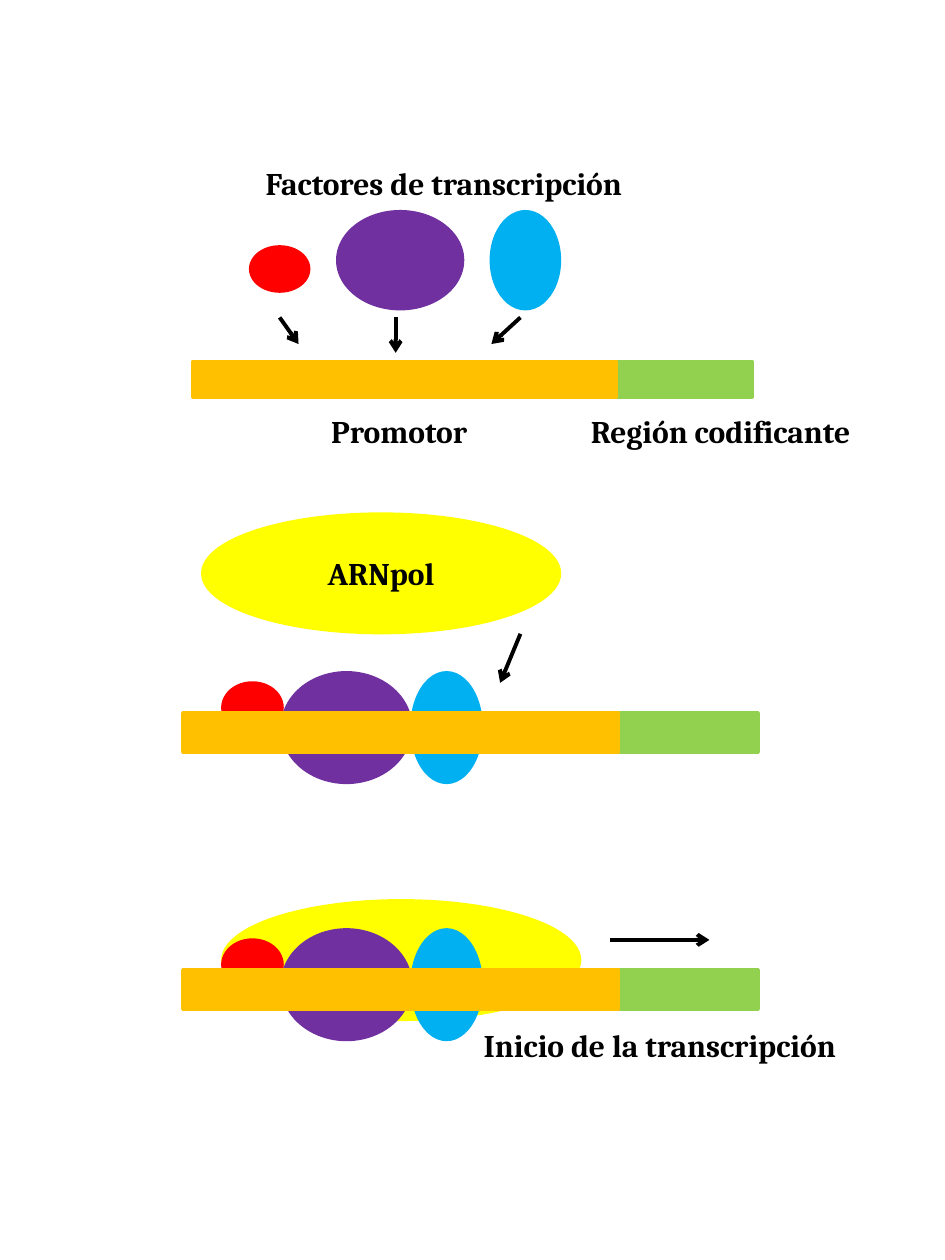
import pptx
import pptx.util
import pptx.dml.color
import pptx.enum.shapes
import pptx.enum.text
import lxml.etree

Pt = pptx.util.Pt
RGB = pptx.dml.color.RGBColor
KIND = pptx.enum.shapes.MSO_SHAPE
ALIGN = pptx.enum.text.PP_ALIGN

RED = RGB(0xFF, 0, 0)
PURPLE = RGB(0x70, 0x30, 0xA0)
BLUE = RGB(0, 0xB0, 0xF0)
GREEN = RGB(0x92, 0xD0, 0x50)
ORANGE = RGB(0xFF, 0xC0, 0)
YELLOW = RGB(0xFF, 0xFF, 0)
BLACK = RGB(0, 0, 0)

OVAL, BAR = KIND.OVAL, KIND.RECTANGLE

FREE = [
    (BAR, GREEN, 352.8, 206.6, 77, 20.2),
    (BAR, ORANGE, 110.2, 206.6, 241.9, 20.2),
    (OVAL, RED, 143.3, 141.1, 33.1, 25.2),
    (OVAL, PURPLE, 193, 121, 71.3, 55.4),
    (OVAL, BLUE, 280.8, 121, 38.9, 55.4),
]
BOUND = [
    (OVAL, RED, 127.4, 5.8, 33.8, 28.1),
    (OVAL, PURPLE, 161.3, 0, 73.4, 62.6),
    (OVAL, BLUE, 235.4, 0, 39.6, 62.6),
    (BAR, GREEN, 354.2, 23, 79.2, 22.3),
    (BAR, ORANGE, 104.4, 23, 249.1, 22.3),
]
STAGES = [
    (0, FREE),
    (384.5, BOUND),
    (531.4, BOUND),
]
POL = (203.8, 67.7)
LABELS = [
    ("Factores de transcripción", 144.7, 90, 221.8, 51.1),
    ("Promotor", 182.2, 231.8, 132.5, 51.1),
    ("Región codificante", 330.5, 231.8, 179.3, 28.8),
    ("Inicio de la transcripción", 269.3, 582.5, 241.2, 28.8),
]
ARROWS = [
    (297.4, 181.4, 280.8, 196.6),
    (226.1, 181.4, 226.1, 201.6),
    (159.8, 181.4, 170.6, 196.6),
    (297.4, 362.2, 285.8, 390.2),
    (348.5, 537.1, 405.4, 537.1),
]

deck = pptx.Presentation()
deck.slide_width, deck.slide_height = Pt(540), Pt(720)
slide = deck.slides.add_slide(deck.slide_layouts[6])
shapes = slide.shapes


def draw(kind, color, *box):
    shape = shapes.add_shape(kind, *map(Pt, box))
    shape.shadow.inherit = False
    shape.fill.solid()
    shape.fill.fore_color.rgb = color
    shape.line.color.rgb = color
    shape.line.width = Pt(2)
    return shape


def write(frame, text, align):
    frame.text = text
    par = frame.paragraphs[0]
    par.alignment = align
    font = par.runs[0].font
    font.name, font.size, font.bold = "Cambria", Pt(18), True
    font.color.rgb = BLACK


free_pol = draw(OVAL, YELLOW, 115.9, 293.8, *POL)
free_pol.text_frame.vertical_anchor = pptx.enum.text.MSO_ANCHOR.MIDDLE
write(free_pol.text_frame, "ARNpol", ALIGN.CENTER)
draw(OVAL, YELLOW, 127.4, 514.8, *POL)

for top, parts in STAGES:
    for kind, color, x, y, w, h in parts:
        draw(kind, color, x, top + y, w, h)

for text, *box in LABELS:
    frame = shapes.add_textbox(*map(Pt, box)).text_frame
    frame.word_wrap = True
    frame.auto_size = pptx.enum.text.MSO_AUTO_SIZE.SHAPE_TO_FIT_TEXT
    write(frame, text, ALIGN.LEFT)

NS = "{http://schemas.openxmlformats.org/drawingml/2006/main}"
for ends in ARROWS:
    arrow = shapes.add_connector(
        pptx.enum.shapes.MSO_CONNECTOR.STRAIGHT, *map(Pt, ends))
    arrow.line.color.rgb = BLACK
    arrow.line.width = Pt(2.25)
    props = arrow.line._get_or_add_ln()
    lxml.etree.SubElement(props, NS + "tailEnd", type="arrow")
    lxml.etree.SubElement(arrow._element.spPr, NS + "effectLst")

deck.save("out.pptx")
